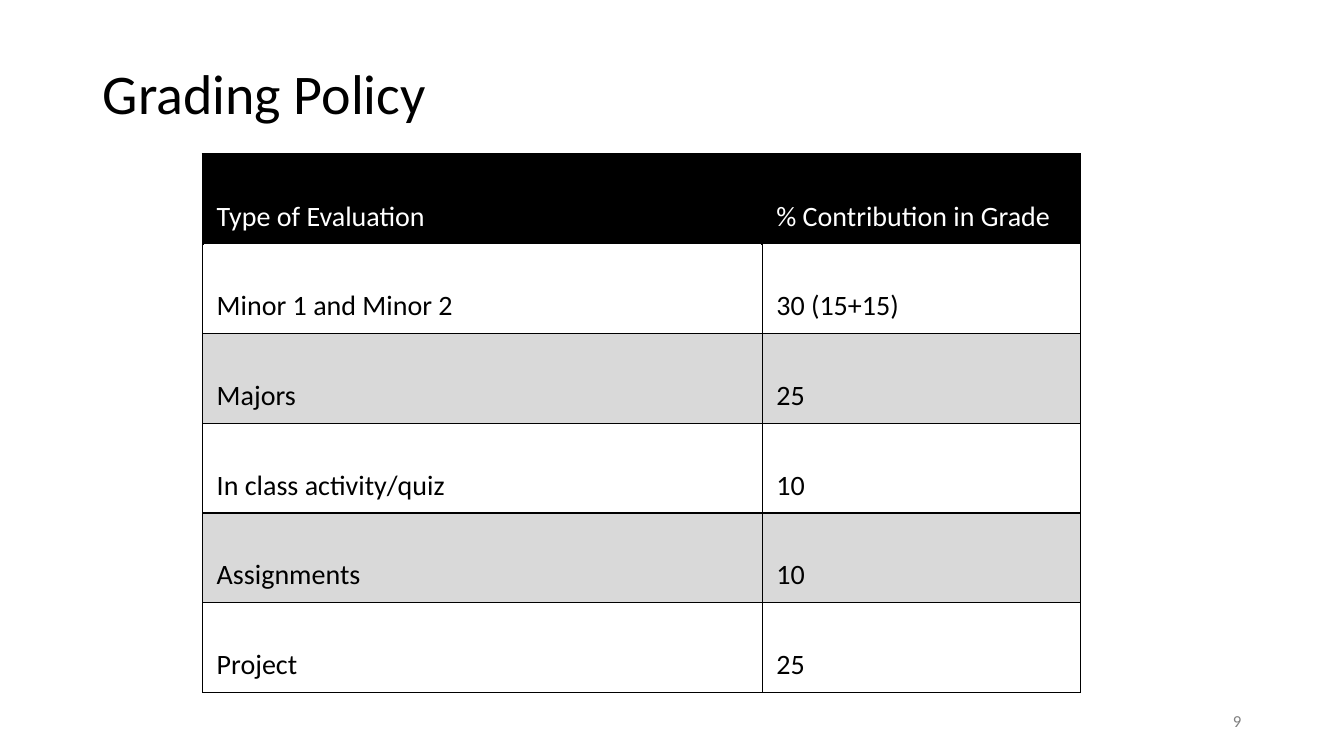
from dataclasses import dataclass

import pptx
import pptx.dml.color
import pptx.enum.text
import pptx.oxml
import pptx.oxml.ns
import pptx.util

Inches = pptx.util.Inches
Pt = pptx.util.Pt
ANCHOR = pptx.enum.text.MSO_ANCHOR
ALIGN = pptx.enum.text.PP_ALIGN
FONT = "Calibri"


@dataclass
class GradeRow:
    evaluation: str
    share: str
    fill: str = "FFFFFF"
    color: str = "000000"
    outer_line: float = 1


ROWS = [
    GradeRow("Type of Evaluation", "% Contribution in Grade", "000000", "FFFFFF", 1.5),
    GradeRow("Minor 1 and Minor 2", "30 (15+15)"),
    GradeRow("Majors", "25", "D9D9D9"),
    GradeRow("In class activity/quiz", "10"),
    GradeRow("Assignments", "10", "D9D9D9"),
    GradeRow("Project", "25"),
]
COLUMN_WIDTHS = [5.55, 3.16]
ROW_HEIGHT = 0.89


def rgb(value: str) -> pptx.dml.color.RGBColor:
    return pptx.dml.color.RGBColor.from_string(value)


def format_text(p, size: float, color: str, align=ALIGN.LEFT) -> None:
    p.alignment = align
    p.font.name = FONT
    p.font.size = Pt(size)
    p.font.bold = False
    p.font.color.rgb = rgb(color)


def place(sp, left: float, top: float, width: float, height: float) -> None:
    sp.left, sp.top = Inches(left), Inches(top)
    sp.width, sp.height = Inches(width), Inches(height)


def add_border(cell, side: str, width: float) -> None:
    xml = (
        f'<a:ln{side} {pptx.oxml.ns.nsdecls("a")} w="{Pt(width)}">'
        '<a:solidFill><a:srgbClr val="000000"/></a:solidFill>'
        f"</a:ln{side}>"
    )
    cell._tc.get_or_add_tcPr().append(pptx.oxml.parse_xml(xml))


def fill_cell(cell, text: str, row: GradeRow) -> None:
    cell.text = text
    cell.vertical_anchor = ANCHOR.BOTTOM
    cell.margin_left = Inches(0.14)
    cell.margin_top = cell.margin_right = cell.margin_bottom = Inches(0.1)
    for side in "LRTB":
        add_border(cell, side, row.outer_line if side in "LT" else 1)
    cell.fill.solid()
    cell.fill.fore_color.rgb = rgb(row.fill)
    format_text(cell.text_frame.paragraphs[0], 20, row.color)


def add_title(slide) -> None:
    title = slide.shapes.title
    place(title, 0.92, 0.37, 11.49, 1.18)
    tf = title.text_frame
    tf.text = "Grading Policy"
    tf.vertical_anchor = ANCHOR.MIDDLE
    p = tf.paragraphs[0]
    p.line_spacing = 0.9
    format_text(p, 40, "000000")


def add_grades(slide) -> None:
    frame = slide.shapes.add_table(
        len(ROWS), len(COLUMN_WIDTHS), Inches(2.01), Inches(1.53),
        Inches(sum(COLUMN_WIDTHS)), Inches(ROW_HEIGHT * len(ROWS)),
    )
    table = frame.table
    table.horz_banding = False
    for column, width in zip(table.columns, COLUMN_WIDTHS):
        column.width = Inches(width)
    for table_row, row in zip(table.rows, ROWS):
        table_row.height = Inches(ROW_HEIGHT)
        for cell, text in zip(table_row.cells, (row.evaluation, row.share)):
            fill_cell(cell, text, row)


def add_page_number(slide) -> None:
    box = slide.shapes.add_textbox(Inches(9.53), Inches(6.95), Inches(2.88), Inches(0.4))
    tf = box.text_frame
    tf.word_wrap = True
    tf.vertical_anchor = ANCHOR.MIDDLE
    tf.text = "9"
    format_text(tf.paragraphs[0], 12, "808080", ALIGN.RIGHT)


def main() -> None:
    prs = pptx.Presentation()
    prs.slide_width, prs.slide_height = Inches(13.33), Inches(7.5)
    slide = prs.slides.add_slide(prs.slide_layouts[5])
    add_title(slide)
    add_page_number(slide)
    add_grades(slide)
    prs.save("out.pptx")


if __name__ == "__main__":
    main()
